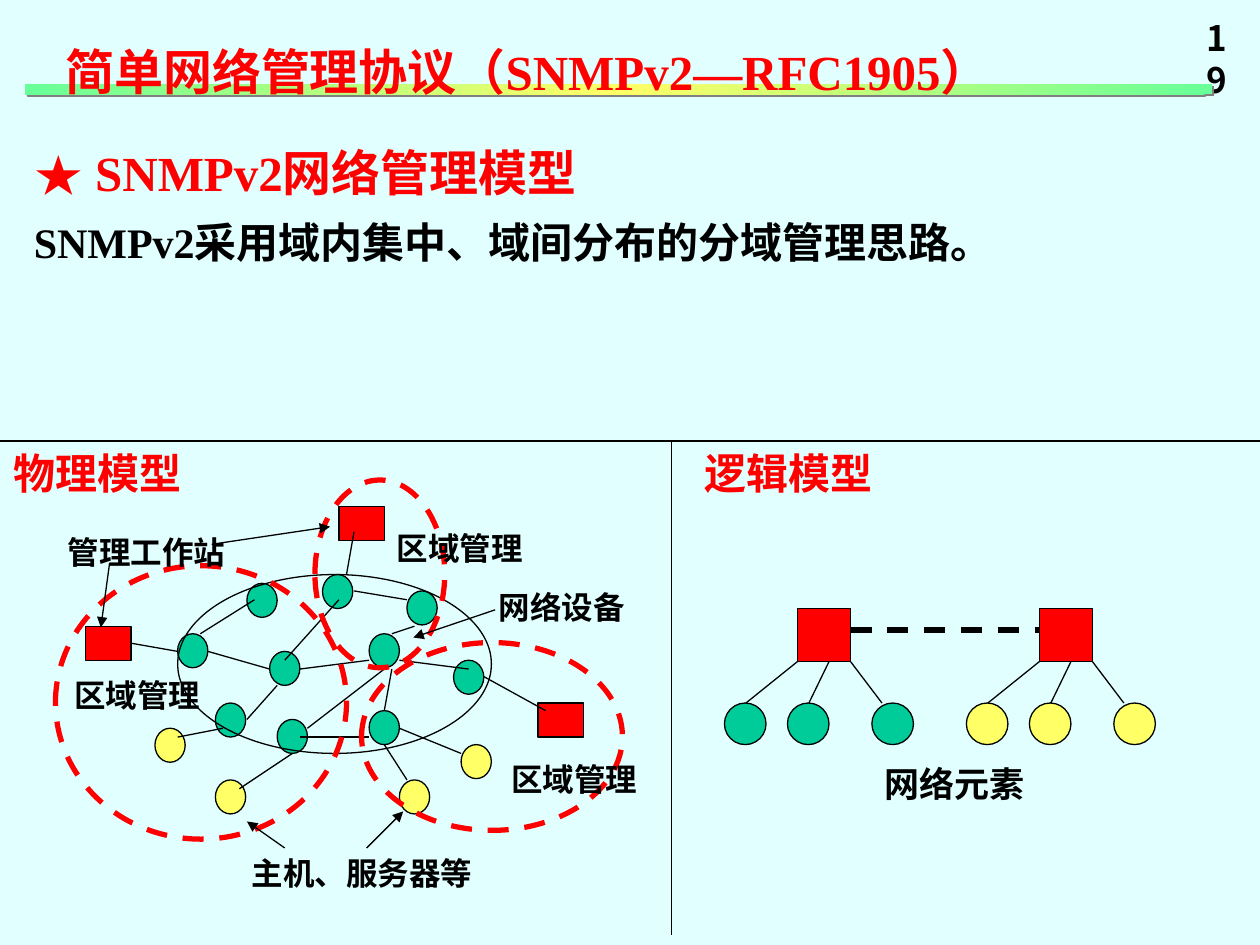
from dataclasses import dataclass

from lxml import etree
from pptx import Presentation
from pptx import util as u
from pptx.dml.color import RGBColor
from pptx.enum import dml, shapes, text
from pptx.oxml import parse_xml
from pptx.oxml.ns import nsdecls, qn

PX = u.Inches(1) // 100  # 100 px to the inch


@dataclass(frozen=True)
class Theme:
    background: str = "E1FFFF"
    ink: str = "000000"
    red: str = "FF0000"
    green: str = "00CC99"
    yellow: str = "FFFF66"
    bar_edge: str = "66FF99"
    bar_shadow: str = "808080"
    latin: str = "Times New Roman"
    cjk: str = "Noto Sans CJK SC"
    title: int = 28
    heading: int = 24
    caption: int = 20
    label: int = 18
    thin: float = 0.75
    thick: float = 3


T = Theme()


@dataclass(frozen=True)
class Box:
    x: int
    y: int
    w: int
    h: int


@dataclass(frozen=True)
class Link:
    x1: int
    y1: int
    x2: int
    y2: int
    arrow: bool = False
    dashed: bool = False


@dataclass(frozen=True)
class Para:
    words: str
    size: int = T.label
    color: str = T.ink
    font: str = T.latin


@dataclass(frozen=True)
class Label:
    box: Box
    paras: tuple[Para, ...]
    wrap: bool = False
    spacing: float = 1.0


def style_line(line, color: str, width: float, dashed: bool) -> None:
    line.color.rgb = RGBColor.from_string(color)
    line.width = u.Pt(width)
    if dashed:
        line.dash_style = dml.MSO_LINE.DASH


def add_shape(s, kind, box: Box, fill: str | None = None, line: str | None = T.ink,
              width: float = T.thin, dashed: bool = False):
    sp = s.shapes.add_shape(kind, box.x * PX, box.y * PX, box.w * PX, box.h * PX)
    sp.shadow.inherit = False
    if fill:
        sp.fill.solid()
        sp.fill.fore_color.rgb = RGBColor.from_string(fill)
    else:
        sp.fill.background()
    if line:
        style_line(sp.line, line, width, dashed)
    else:
        sp.line.fill.background()
    return sp


def add_link(s, link: Link):
    c = s.shapes.add_connector(shapes.MSO_CONNECTOR.STRAIGHT, link.x1 * PX, link.y1 * PX,
                               link.x2 * PX, link.y2 * PX)
    style_line(c.line, T.ink, T.thick if link.dashed else T.thin, link.dashed)
    if link.arrow:
        etree.SubElement(c.line._get_or_add_ln(), qn("a:tailEnd"), type="triangle")
    etree.SubElement(c._element.spPr, qn("a:effectLst"))
    return c


def add_label(s, label: Label) -> None:
    b = label.box
    tf = s.shapes.add_textbox(b.x * PX, b.y * PX, b.w * PX, b.h * PX).text_frame
    tf.word_wrap = label.wrap
    tf.auto_size = text.MSO_AUTO_SIZE.SHAPE_TO_FIT_TEXT
    for i, para in enumerate(label.paras):
        p = tf.add_paragraph() if i else tf.paragraphs[0]
        p.line_spacing = label.spacing
        r = p.add_run()
        r.text = para.words
        r.font.size = u.Pt(para.size)
        r.font.bold = True
        r.font.name = para.font
        r.font.color.rgb = RGBColor.from_string(para.color)
        etree.SubElement(r.font._element, qn("a:ea"), typeface=T.cjk)


def add_title_bar(s) -> None:
    """Thin bar, green to yellow and back, with a hard grey shadow."""
    sp = add_shape(s, shapes.MSO_SHAPE.RECTANGLE, Box(20, 67, 942, 8), T.bar_edge, None)
    stops = ((0, T.bar_edge), (50, T.yellow), (100, T.bar_edge))
    gs = "".join(f'<a:gs pos="{pos * 1000}"><a:srgbClr val="{c}"/></a:gs>' for pos, c in stops)
    grad = parse_xml(f'<a:gradFill {nsdecls("a")}><a:gsLst>{gs}</a:gsLst>'
                     '<a:lin ang="2700000" scaled="1"/></a:gradFill>')
    props = sp._element.spPr
    props.replace(props.find(qn("a:solidFill")), grad)
    shadow = etree.SubElement(props.find(qn("a:effectLst")), qn("a:outerShdw"),
                              dist=str(u.Pt(1.4)), dir="2700000", algn="ctr")
    etree.SubElement(shadow, qn("a:srgbClr"), val=T.bar_shadow)


def add_physical_model(s) -> None:
    oval, rect = shapes.MSO_SHAPE.OVAL, shapes.MSO_SHAPE.RECTANGLE
    devices = ((141, 503), (171, 558), (214, 517), (323, 469), (360, 524),
               (256, 456), (196, 463), (293, 564), (220, 571), (293, 503))
    hosts = ((123, 578), (317, 619), (171, 619), (366, 591))
    for color, spots in ((T.green, devices), (T.yellow, hosts)):
        for x, y in spots:
            add_shape(s, oval, Box(x, y, 24, 27), color)
    west, _, _ = [add_shape(s, rect, Box(x, y, 36, 27), T.red)
                  for x, y in ((68, 497), (427, 558), (269, 402))]
    add_shape(s, oval, Box(141, 456, 249, 142))

    add_link(s, Link(104, 510, 141, 517)).begin_connect(west, 3)
    for ends in ((165, 517, 214, 531), (196, 571, 220, 544), (159, 503, 202, 476),
                 (244, 578, 305, 531), (238, 531, 293, 524), (317, 524, 372, 531),
                 (311, 531, 305, 564), (238, 585, 293, 585), (269, 476, 226, 524),
                 (281, 469, 323, 476), (329, 497, 311, 503), (305, 591, 323, 619),
                 (317, 578, 366, 598), (177, 578, 141, 585), (232, 598, 190, 626),
                 (281, 422, 275, 456), (384, 537, 433, 564)):
        add_link(s, Link(*ends))
    for domain in (Box(287, 510, 207, 149), Box(44, 449, 231, 217), Box(250, 381, 103, 149)):
        add_shape(s, oval, domain, line=T.red, width=T.thick, dashed=True)

    for x, y, w, words in ((49, 532, 120, "区域管理"), (396, 598, 120, "区域管理"),
                           (305, 415, 120, "区域管理"), (190, 673, 195, "主机、服务器等"),
                           (386, 462, 120, "网络设备"), (44, 418, 145, "管理工作站")):
        add_label(s, Label(Box(x, y, w, 40), (Para(words),)))
    for ends in ((87, 447, 80, 498), (168, 432, 262, 418), (226, 673, 196, 652),
                 (291, 673, 320, 644), (393, 484, 328, 506)):
        add_link(s, Link(*ends, arrow=True))


def add_tree(s, x: int, color: str) -> None:
    """One manager at x with its three network elements."""
    top, low, side = 483, 558, 42
    add_shape(s, shapes.MSO_SHAPE.RECTANGLE, Box(x, top, side, side), T.red)
    for node, start, end in ((-58, 0, -41), (-8, 25, 9), (59, side, 67)):
        add_shape(s, shapes.MSO_SHAPE.OVAL, Box(x + node, low, 33, 33), color)
        add_link(s, Link(x + start, top + side, x + end, low))


def main() -> None:
    prs = Presentation()
    prs.slide_width, prs.slide_height = 1000 * PX, 750 * PX
    s = prs.slides.add_slide(prs.slide_layouts[6])
    s.background.fill.solid()
    s.background.fill.fore_color.rgb = RGBColor.from_string(T.background)

    add_label(s, Label(Box(17, 94, 958, 123), (
        Para("★ SNMPv2网络管理模型", T.title, T.red),
        Para("SNMPv2采用域内集中、域间分布的分域管理思路。", T.heading)), wrap=True, spacing=1.3))
    add_physical_model(s)
    add_link(s, Link(533, 350, 533, 742))
    add_link(s, Link(0, 350, 1000, 350))
    for x, words in ((1, "物理模型"), (549, "逻辑模型")):
        add_label(s, Label(Box(x, 350, 153, 50), (Para(words, T.heading, T.red),)))

    add_tree(s, 633, T.green)
    add_tree(s, 825, T.yellow)
    add_link(s, Link(675, 500, 825, 500, dashed=True))
    add_label(s, Label(Box(692, 600, 131, 44), (Para("网络元素", T.caption),)))

    add_label(s, Label(Box(948, 8, 52, 44), (Para("19", T.caption, font=T.cjk),), wrap=True))
    add_title_bar(s)
    add_label(s, Label(Box(42, 28, 772, 57), (
        Para("简单网络管理协议（SNMPv2—RFC1905）", T.title, T.red),)))
    prs.save("out.pptx")


if __name__ == "__main__":
    main()
